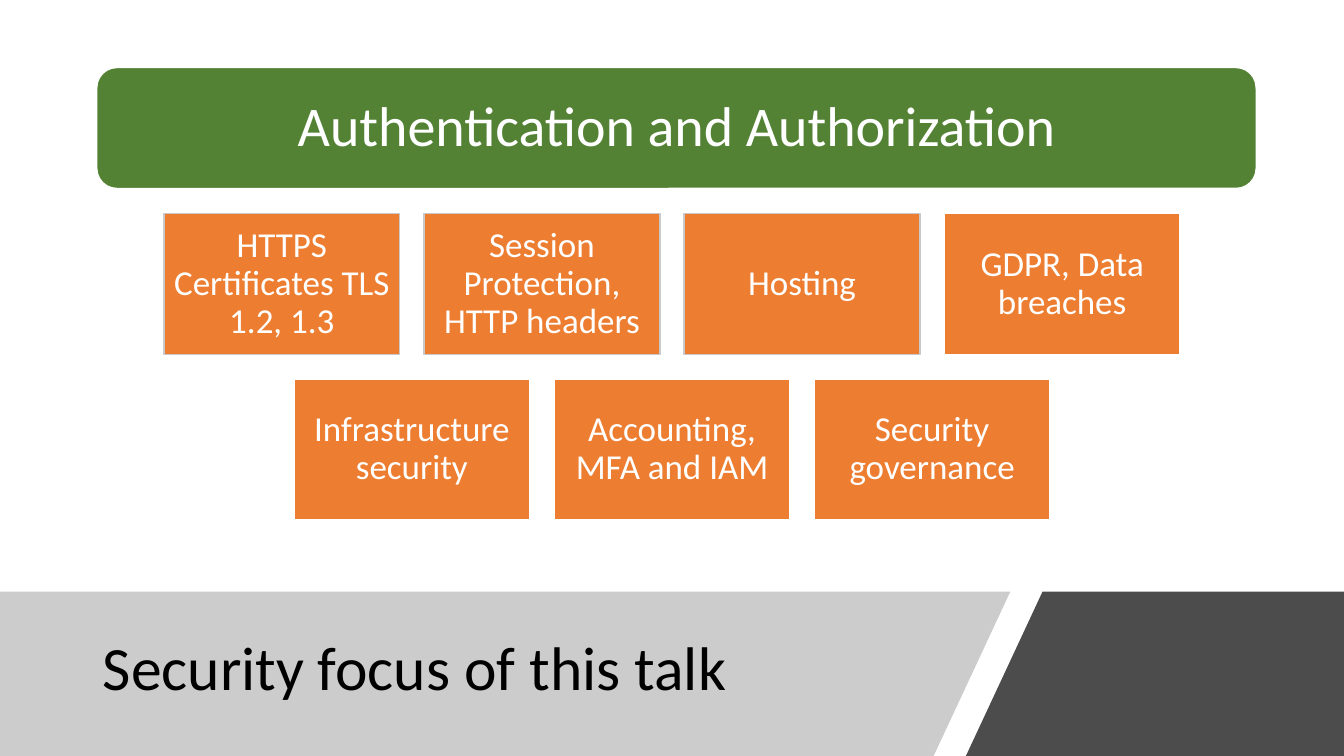
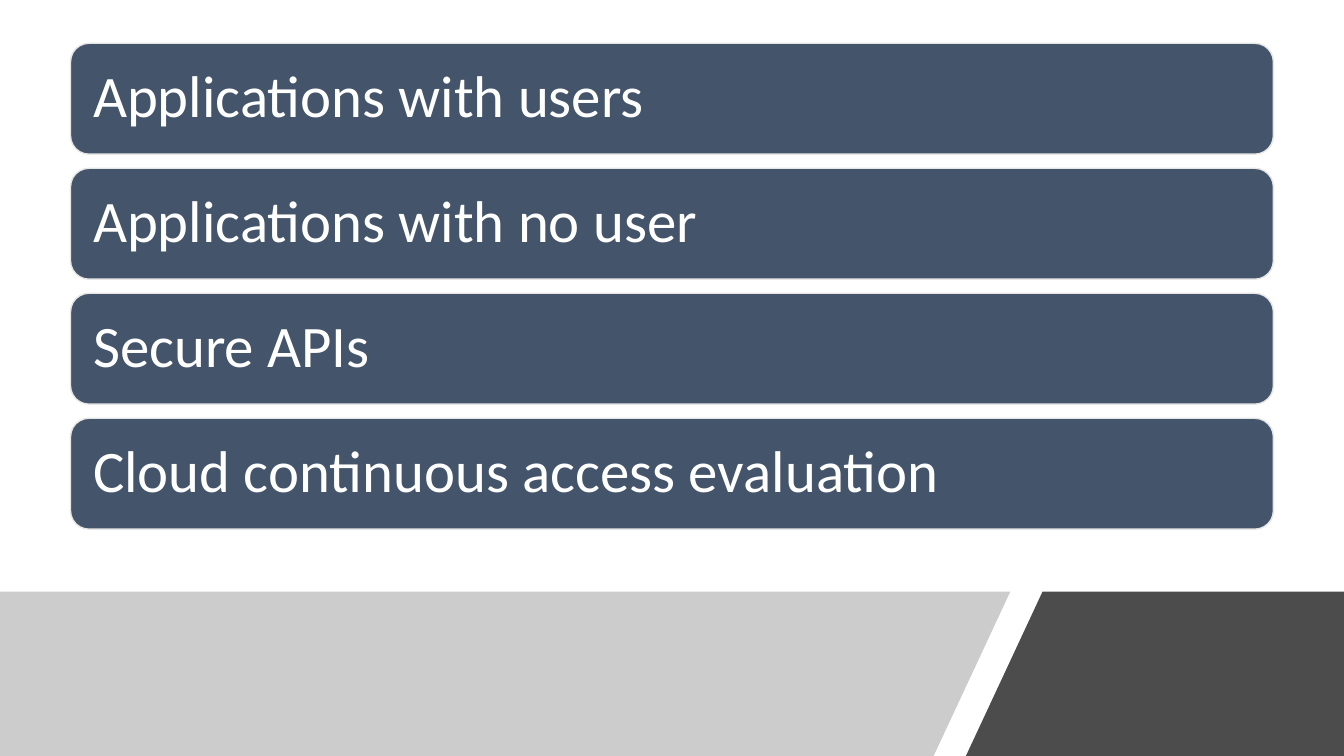
from dataclasses import dataclass

from lxml import etree
from pptx import Presentation
from pptx.dml.color import RGBColor
from pptx.enum import shapes as es, text as et
from pptx.oxml import ns
from pptx.util import Inches, Pt

FONT = "Calibri"
WHITE, BLACK, GREY = "FFFFFF", "000000", "808080"
ORANGE, GREEN, SLATE = "ED7D31", "548235", "44546A"
PALE, SILVER = "E7E6E6", "C9C9C9"
WIDE, HIGH = 13.33, 7.5
TOP = 5.87  # upper edge of the bottom bands


@dataclass(frozen=True)
class Style:
    """Look shared by one kind of box."""
    kind: es.MSO_SHAPE
    fill: str
    size: int
    inset: float
    align: et.PP_ALIGN


@dataclass(frozen=True)
class Band:
    """A see-through outline at the foot of the slide."""
    points: tuple[tuple[float, float], ...]
    fill: str
    alpha: int


@dataclass(frozen=True)
class Topic:
    label: str
    edge: str = WHITE


TILE = Style(es.MSO_SHAPE.RECTANGLE, ORANGE, 25, 0.1, et.PP_ALIGN.CENTER)
HEAD = Style(es.MSO_SHAPE.ROUNDED_RECTANGLE, GREEN, 40, 0.05, et.PP_ALIGN.CENTER)
BAR = Style(es.MSO_SHAPE.ROUNDED_RECTANGLE, SLATE, 42, 0.17, et.PP_ALIGN.LEFT)

BANDS = (
    Band(((0, TOP), (10.02, TOP), (9.26, HIGH), (0, HIGH)), GREY, 40),
    Band(((10.34, TOP), (WIDE, TOP), (WIDE, HIGH), (9.58, HIGH)), BLACK, 70),
)

TOPICS = (
    (
        Topic("HTTPS Certificates TLS 1.2, 1.3", SILVER),
        Topic("Session Protection, HTTP headers", SILVER),
        Topic("Hosting", SILVER),
        Topic("GDPR, Data breaches"),
    ),
    (
        Topic("Infrastructure security"),
        Topic("Accounting, MFA and IAM"),
        Topic("Security governance"),
    ),
)

AREAS = (
    "Applications with users",
    "Applications with no user",
    "Secure APIs",
    "Cloud continuous access evaluation",
)


def paint(color: str) -> RGBColor:
    return RGBColor.from_string(color)


def write(shape, label: str, size: int, color: str, align) -> None:
    """Put one middle-anchored paragraph into a shape."""
    frame = shape.text_frame
    frame.text = label
    frame.word_wrap = True
    frame.auto_size = et.MSO_AUTO_SIZE.NONE
    frame.vertical_anchor = et.MSO_ANCHOR.MIDDLE
    para = frame.paragraphs[0]
    para.alignment = align
    para.line_spacing = 0.9
    para.font.name = FONT
    para.font.size = Pt(size)
    para.font.color.rgb = paint(color)


def add_box(slide, style: Style, label: str, edge: str,
            left: float, top: float, width: float, height: float) -> None:
    box = slide.shapes.add_shape(
        style.kind, Inches(left), Inches(top), Inches(width), Inches(height))
    box.shadow.inherit = False
    box.fill.solid()
    box.fill.fore_color.rgb = paint(style.fill)
    box.line.color.rgb = paint(edge)
    box.line.width = Pt(1)
    write(box, label, style.size, WHITE, style.align)
    frame = box.text_frame
    frame.margin_left = frame.margin_right = Inches(style.inset)
    frame.margin_top = frame.margin_bottom = Inches(style.inset)


def add_band(slide, band: Band) -> None:
    first, *rest = [(Inches(x), Inches(y)) for x, y in band.points]
    pen = slide.shapes.build_freeform(*first)
    pen.add_line_segments(rest, close=True)
    shape = pen.convert_to_shape()
    shape.shadow.inherit = False
    shape.line.fill.background()
    shape.fill.solid()
    shape.fill.fore_color.rgb = paint(band.fill)
    tone = shape.element.spPr.find(ns.qn("a:solidFill"))[0]
    etree.SubElement(tone, ns.qn("a:alpha"), val=str(band.alpha * 1000))


def add_slide(deck, title: str = ""):
    """Start a slide with its bands and, if given, its title."""
    slide = deck.slides.add_slide(deck.slide_layouts[5 if title else 6])
    for band in BANDS:
        add_band(slide, band)
    if title:
        head = slide.shapes.title
        head.left, head.top = Inches(0.92), Inches(6.05)
        head.width, head.height = Inches(8.44), Inches(1.2)
        write(head, title, 44, BLACK, et.PP_ALIGN.LEFT)
        # Bring the title in front of the bands
        head.element.getparent().append(head.element)
    return slide


def add_focus(deck) -> None:
    slide = add_slide(deck, "Security focus of this talk")
    add_box(slide, HEAD, "Authentication and Authorization", WHITE,
            0.96, 0.67, 11.5, 1.2)
    # Centred rows of tiles
    width, height, gap = 2.34, 1.4, 0.24
    for i, row in enumerate(TOPICS):
        left = (WIDE - len(row) * (width + gap) + gap) / 2
        for j, topic in enumerate(row):
            add_box(slide, TILE, topic.label, topic.edge,
                    left + j * (width + gap), 2.12 + i * (height + gap),
                    width, height)


def add_areas(deck) -> None:
    slide = add_slide(deck)
    height, gap = 1.1, 0.14
    for i, label in enumerate(AREAS):
        add_box(slide, BAR, label, PALE,
                0.7, 0.43 + i * (height + gap), 11.93, height)


def main() -> None:
    deck = Presentation()
    deck.slide_width, deck.slide_height = Inches(WIDE), Inches(HIGH)
    add_focus(deck)
    add_areas(deck)
    deck.save("out.pptx")


if __name__ == "__main__":
    main()
